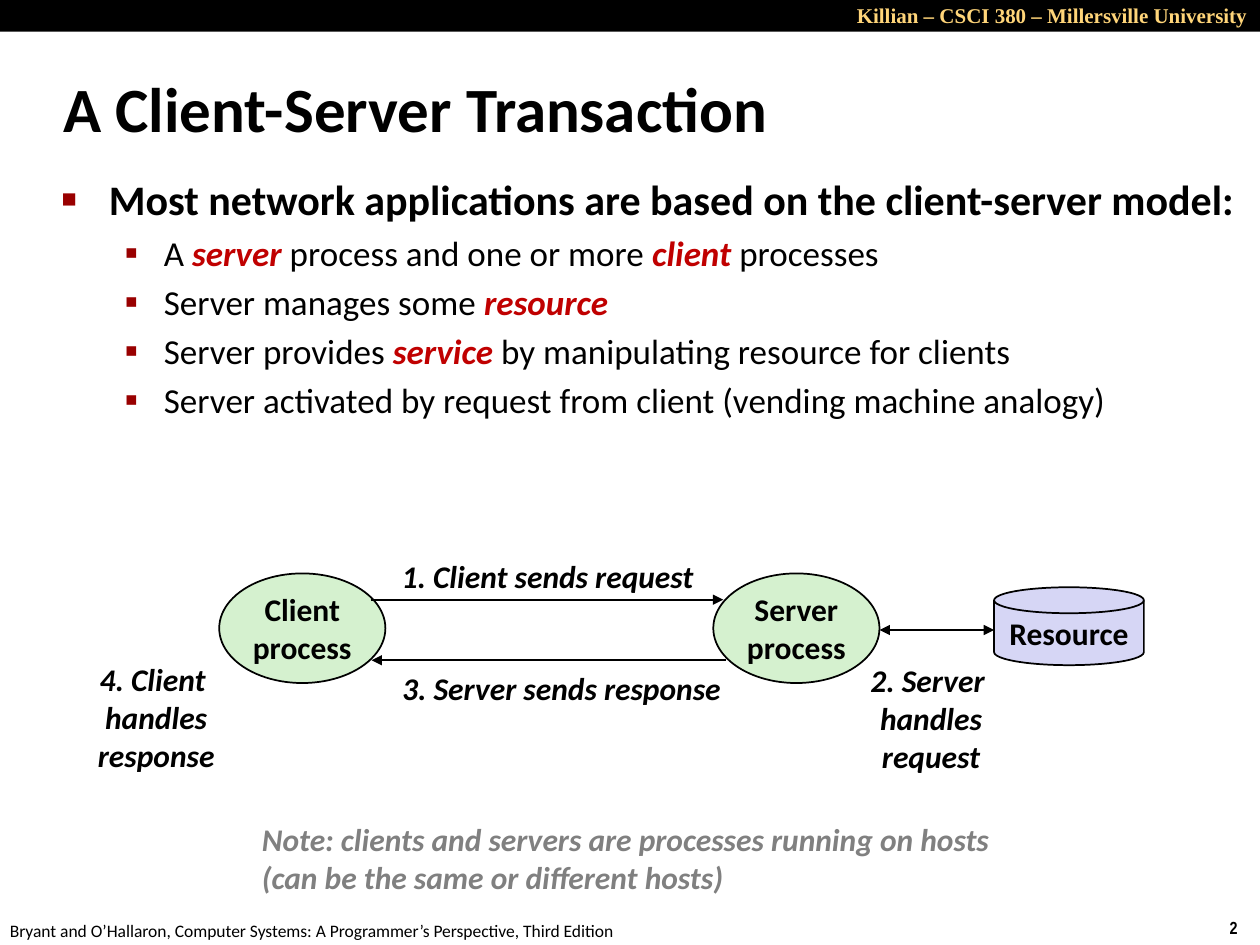
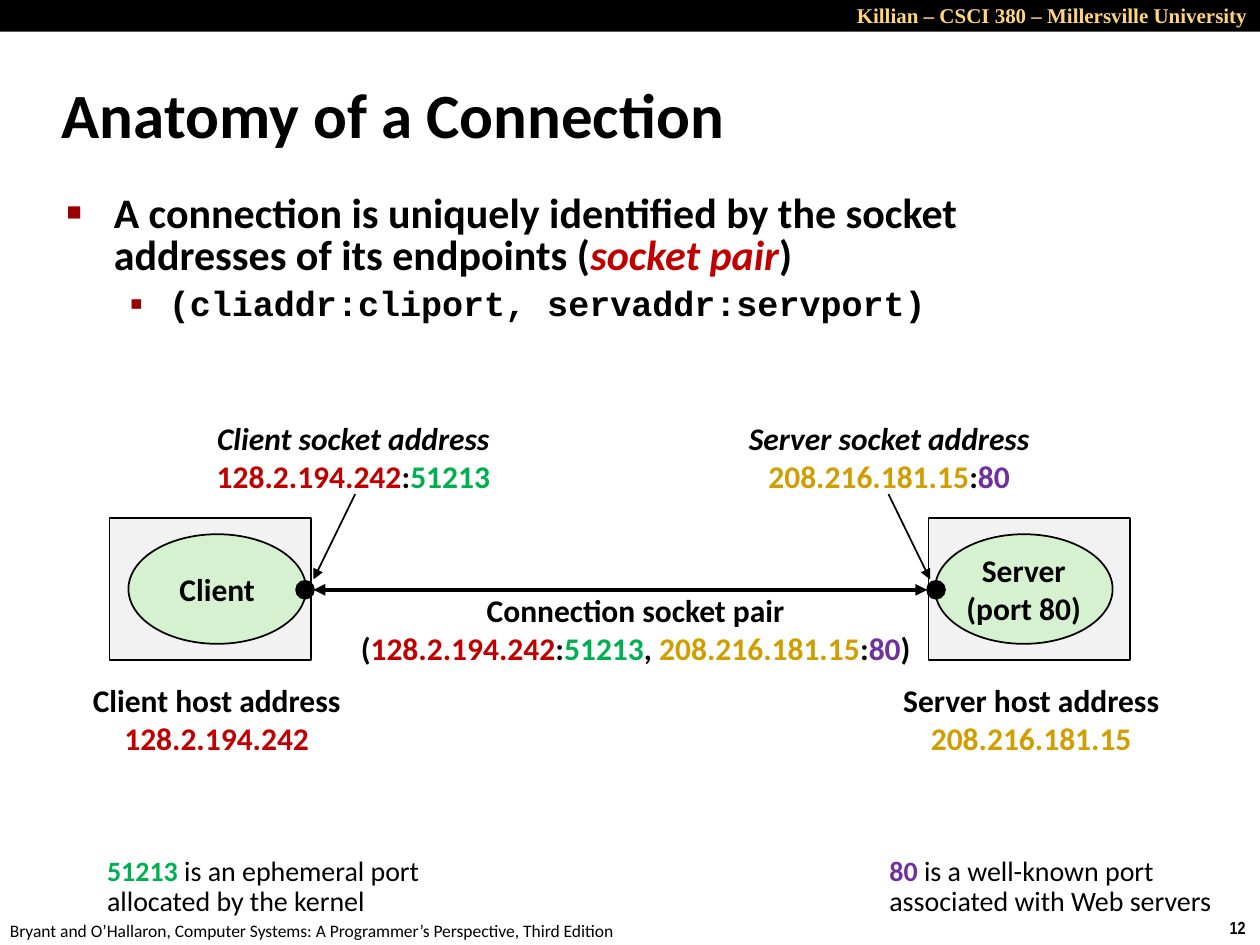
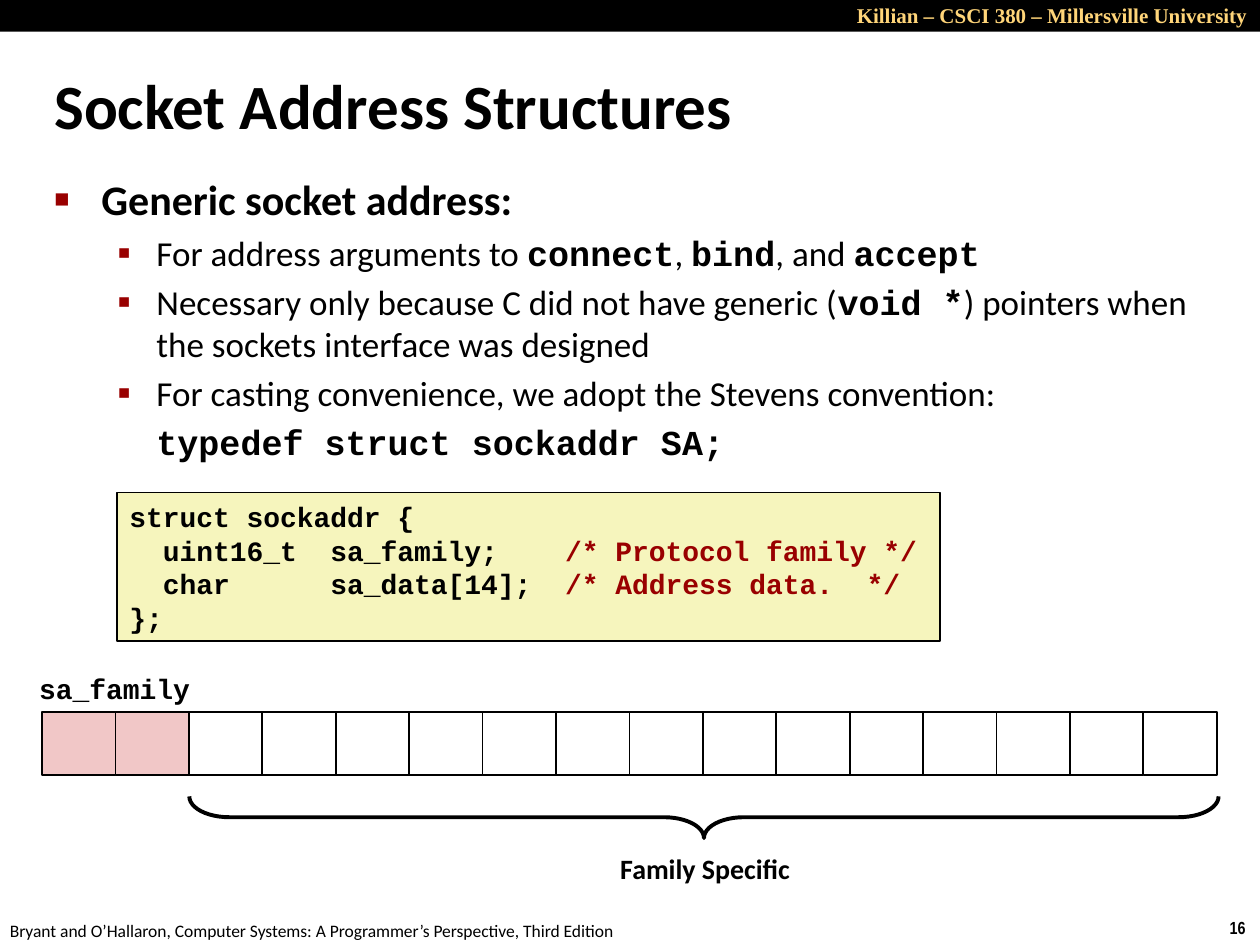
from lxml import etree
from pptx import Presentation
from pptx import util as u
from pptx.dml import color
from pptx.enum import shapes, text
from pptx.oxml import ns

BLACK, DARK_RED, GREEN, LILAC = "000000", "990000", "D5F1CF", "D6D6F5"
SANS, MONO = "Calibri", "Courier New"
CENTER, LEFT, RIGHT = text.PP_ALIGN.CENTER, text.PP_ALIGN.LEFT, text.PP_ALIGN.RIGHT
SHAPE = shapes.MSO_SHAPE

LABEL = dict(size=18, bold=True)
STEP = dict(LABEL, italic=True)
CODE = dict(size=16, bold=True, font=MONO)
HEADING = dict(size=24, bold=True)
POINT = dict(size=20)
TERM = dict(bold=True, italic=True, color="C00000")
MONO_BOLD = dict(bold=True, font=MONO)
COMMENT = dict(color=DARK_RED)

CLIENT_IP = ("128.2.194.242", dict(color="C00000", italic=False))
CLIENT_PORT = ("51213", dict(color="00B050", italic=False))
SERVER_IP = ("208.216.181.15", dict(color="D09E00", italic=False))
SERVER_PORT = ("80", dict(color="7030A0", italic=False))
COLON = (":", dict(italic=False))

BULLETS = {0: ("■", 60000, 0.95, -0.95), 1: ("▪", 110000, 2.06, -0.79)}


def rgb(value):
    """Turn a hex string into a colour."""
    return color.RGBColor.from_string(value)


def box(*lengths):
    """Turn centimetres into lengths."""
    return [u.Cm(length) for length in lengths]


def add_child(parent, tag, **attributes):
    """Append one drawing element to a parent."""
    return etree.SubElement(parent, ns.qn(tag), attributes)


def add_runs(paragraph, runs, base):
    """Write runs, each plain or paired with its changes to the base style."""
    for run in runs:
        words, changes = run if isinstance(run, tuple) else (run, {})
        style = {**base, **changes}
        piece = paragraph.add_run()
        piece.text = words
        piece.font.size = u.Pt(style["size"])
        piece.font.name = style.get("font", SANS)
        piece.font.bold = style.get("bold", False)
        piece.font.italic = style.get("italic", False)
        piece.font.color.rgb = rgb(style.get("color", BLACK))


def write(frame, lines, base, align=CENTER, spacing=None, wrap=False):
    """Fill a text frame, one paragraph for each list of runs."""
    frame.word_wrap = wrap
    for index, runs in enumerate(lines):
        paragraph = frame.add_paragraph() if index else frame.paragraphs[0]
        paragraph.alignment = align
        paragraph.line_spacing = spacing
        add_runs(paragraph, runs, base)


def label(slide, place, lines, base=LABEL, **layout):
    """Add a text box that fits its text."""
    frame = slide.shapes.add_textbox(*box(*place)).text_frame
    write(frame, lines, base, **layout)
    frame.auto_size = text.MSO_AUTO_SIZE.SHAPE_TO_FIT_TEXT


def figure(slide, kind, place, fill=None, lines=(), base=LABEL, weight=1, **layout):
    """Add an outlined preset shape with optional text."""
    body = slide.shapes.add_shape(kind, *box(*place))
    body.shadow.inherit = False
    if fill:
        body.fill.solid()
        body.fill.fore_color.rgb = rgb(fill)
    else:
        body.fill.background()
    body.line.color.rgb = rgb(BLACK)
    body.line.width = u.Pt(weight)
    write(body.text_frame, lines, base, **layout)
    return body


def arrow(slide, start, end, weight=1, both=False):
    """Draw a straight arrow, pointed at its end or at both ends."""
    link = slide.shapes.add_connector(shapes.MSO_CONNECTOR.STRAIGHT, *box(*start, *end))
    link.line.color.rgb = rgb(BLACK)
    link.line.width = u.Pt(weight)
    outline = link.line._get_or_add_ln()
    if both:
        add_child(outline, "a:headEnd", type="triangle")
    add_child(outline, "a:tailEnd", type="triangle")
    add_child(link._element.spPr, "a:effectLst")


def set_bullet(paragraph, level, marked):
    """Indent a list paragraph and give it its marker."""
    char, size, margin, indent = BULLETS[level]
    paragraph.level = level
    properties = paragraph._p.get_or_add_pPr()
    properties.set("marL", str(u.Cm(margin)))
    properties.set("indent", str(u.Cm(indent if marked else 0)))
    if not marked:
        add_child(properties, "a:buNone")
        return
    tint = add_child(properties, "a:buClr")
    add_child(tint, "a:srgbClr", val=DARK_RED)
    add_child(properties, "a:buSzPct", val=str(size))
    add_child(properties, "a:buFont", typeface="Arial")
    add_child(properties, "a:buChar", char=char)


def move(holder, place):
    """Put a placeholder in its place."""
    holder.left, holder.top, holder.width, holder.height = box(*place)
    holder.text_frame.auto_size = text.MSO_AUTO_SIZE.NONE


def add_slide(deck, number, title, title_place):
    """Add a slide with the course band, footer, number and title."""
    slide = deck.slides.add_slide(deck.slide_layouts[1])
    band = figure(slide, SHAPE.RECTANGLE, (0, 0, 25.4, 0.64), BLACK)
    band.line.fill.background()
    label(slide, (11.43, -0.08, 13.97, 0.76),
          [["Killian – CSCI 380 – Millersville University"]],
          dict(size=12, bold=True, font="Times New Roman", color="FFD579"),
          align=RIGHT, wrap=True)
    label(slide, (24.54, 18.36, 0.86, 0.69), [[str(number)]],
          dict(size=10, bold=True, font="Arial Narrow"), align=LEFT)
    label(slide, (-0.05, 18.42, 12.9, 0.69),
          [["Bryant and O’Hallaron, Computer Systems: "
            "A Programmer’s Perspective, Third Edition"]],
          dict(size=10), align=LEFT)
    move(slide.shapes.title, title_place)
    write(slide.shapes.title.text_frame, [[title]], dict(size=36, bold=True),
          align=LEFT, wrap=True)
    return slide


def add_list(slide, place, heading, points, spacings=(None, None), unmarked=()):
    """Fill the body with a heading and its points."""
    body = slide.placeholders[1]
    move(body, place)
    frame = body.text_frame
    write(frame, [heading], HEADING, align=LEFT, spacing=spacings[0], wrap=True)
    set_bullet(frame.paragraphs[0], 0, True)
    for runs in [*points, *unmarked]:
        paragraph = frame.add_paragraph()
        set_bullet(paragraph, 1, runs not in unmarked)
        paragraph.line_spacing = spacings[1]
        add_runs(paragraph, runs, POINT)


def transaction(deck):
    """Show the four steps between client and server."""
    slide = add_slide(deck, 2, "A Client-Server Transaction", (1.02, 1.37, 19.89, 1.6))
    add_list(slide, (0.99, 3.38, 24.18, 5.72),
             ["Most network applications are based on the client-server model:"],
             [["A ", ("server", TERM), " process and one or more ",
               ("client ", TERM), "processes"],
              ["Server manages some ", ("resource", TERM)],
              ["Server provides ", ("service", TERM),
               " by manipulating resource for clients"],
              ["Server activated by request from client (vending machine analogy)"]])
    for role, left in (("Client", 4.42), ("Server", 14.38)):
        figure(slide, SHAPE.OVAL, (left, 11.56, 3.35, 2.21), GREEN, [[role], ["process"]])
    figure(slide, SHAPE.FLOWCHART_MAGNETIC_DISK, (20.04, 11.84, 3.02, 1.57),
           LILAC, [["Resource"]])
    arrow(slide, (7.47, 12.09), (14.58, 12.09))
    arrow(slide, (14.63, 13.31), (7.49, 13.31))
    arrow(slide, (17.73, 12.7), (20.04, 12.7), both=True)
    steps = [((7.8, 11.1, 6.48, 1.02), ["1. Client sends request"]),
             ((17.27, 13.21, 3, 2.57), ["2. Server ", "handles", "request"]),
             ((7.8, 13.36, 7.04, 1.02), ["3. Server sends response"]),
             ((1.7, 13.18, 2.9, 2.57), ["4. Client ", "handles", "response"])]
    for place, lines in steps:
        label(slide, place, [[line] for line in lines], STEP)
    label(slide, (5.03, 16.41, 15.52, 1.8),
          [["Note: clients and servers are processes running on hosts"],
           ["(can be the same or different hosts)"]],
          dict(STEP, color="808080"), align=LEFT)


def endpoint(slide, role, process, host_left, process_left, dot_left, pointer):
    """Draw one host with its process, its socket and the pointer to it."""
    figure(slide, SHAPE.RECTANGLE, (host_left, 10.44, 4.06, 2.87), "F2F2F2")
    figure(slide, SHAPE.OVAL, (process_left, 10.77, 3.58, 2.21), GREEN,
           [[line] for line in [role, *process]])
    figure(slide, SHAPE.OVAL, (dot_left, 11.71, 0.36, 0.36), BLACK)
    arrow(slide, (pointer[0], 9.96), (pointer[1], 11.68))


def address_labels(slide, role, address, port, socket_box, host_box):
    """Name the socket address and the host address of one role."""
    label(slide, (socket_box[0], 8.33, socket_box[1], 1.8),
          [[f"{role} socket address"], [address, COLON, port]], STEP)
    label(slide, (host_box[0], 13.61, host_box[1], 1.8),
          [[f"{role} host address"], [address]])


def port_note(slide, left, port, first, second):
    """Explain where a port number comes from."""
    number, tint = port
    label(slide, (left, 17.15, 7.1, 1.5),
          [[(f"{number} ", dict(tint, bold=True)), first], [second]],
          dict(size=16), align=LEFT, spacing=0.9)


def connection(deck):
    """Show the socket pair that identifies a connection."""
    slide = add_slide(deck, 12, "Anatomy of a Connection", (0.99, 1.22, 21.08, 2.11))
    add_list(slide, (1.09, 3.78, 21.95, 3.2),
             ["A connection is uniquely identified by the socket "
              "addresses of its endpoints (", ("socket pair", TERM), ")"],
             [[("(cliaddr:cliport, servaddr:servport)", MONO_BOLD)]], (0.85, 0.9))
    endpoint(slide, "Client", [], 2.21, 2.59, 5.97, (7.16, 6.32))
    endpoint(slide, "Server", ["(port 80)"], 18.72, 18.85, 18.69, (17.91, 18.75))
    arrow(slide, (6.32, 11.89), (18.69, 11.89), weight=2.25, both=True)
    label(slide, (6.96, 11.79, 11.71, 1.8),
          [["Connection socket pair"],
           ["(", CLIENT_IP, COLON, CLIENT_PORT, ", ",
            SERVER_IP, COLON, SERVER_PORT, ")"]])
    address_labels(slide, "Client", CLIENT_IP, CLIENT_PORT, (4.09, 6.07), (1.6, 5.54))
    address_labels(slide, "Server", SERVER_IP, SERVER_PORT, (14.33, 7.19), (17.93, 5.72))
    port_note(slide, 1.91, CLIENT_PORT, "is an ephemeral port", "allocated by the kernel")
    port_note(slide, 17.68, SERVER_PORT, "is a well-known port",
              "associated with Web servers")


def structures(deck):
    """Show the generic socket address and its byte layout."""
    slide = add_slide(deck, 16, "Socket Address Structures", (0.84, 1.02, 24.21, 2.16))
    add_list(slide, (0.84, 3.38, 24.21, 6.35),
             ["Generic socket address:"],
             [["For address arguments to ", ("connect", MONO_BOLD), ", ",
               ("bind", MONO_BOLD), ", and ", ("accept", MONO_BOLD)],
              ["Necessary only because C did not have generic (", ("void *", MONO_BOLD),
               ") pointers when the sockets interface was designed"],
              ["For casting convenience, we adopt the Stevens convention:"]],
             unmarked=[[("typedef struct sockaddr SA;", MONO_BOLD)]])
    figure(slide, SHAPE.RECTANGLE, (2.36, 9.93, 16.59, 3), "F6F5BD",
           [["struct sockaddr {"],
            ["  uint16_t  sa_family;    ", ("/* Protocol family */", COMMENT)],
            ["  char      sa_data[14];  ", ("/* Address data.  */", COMMENT)],
            ["};"]], CODE, align=LEFT)
    family_bytes, all_bytes, byte_width = 2, 16, 1.48
    for index in range(all_bytes):
        figure(slide, SHAPE.RECTANGLE, (0.85 + index * byte_width, 14.35, byte_width, 1.27),
               "F1C7C7" if index < family_bytes else None)
    label(slide, (0.53, 13.41, 3.56, 0.94), [["sa_family"]], CODE)
    label(slide, (12.22, 17.04, 3.99, 0.94), [["Family Specific"]], dict(size=16, bold=True))
    brace = figure(slide, SHAPE.RIGHT_BRACE, (13.77, 6.1, 0.84, 20.75), weight=2.25)
    brace.rotation = 90
    brace.adjustments[0] = 0.96


def main():
    """Build the deck and save it."""
    deck = Presentation()
    deck.slide_width, deck.slide_height = box(25.4, 19.05)
    transaction(deck)
    connection(deck)
    structures(deck)
    deck.save("out.pptx")


if __name__ == "__main__":
    main()
